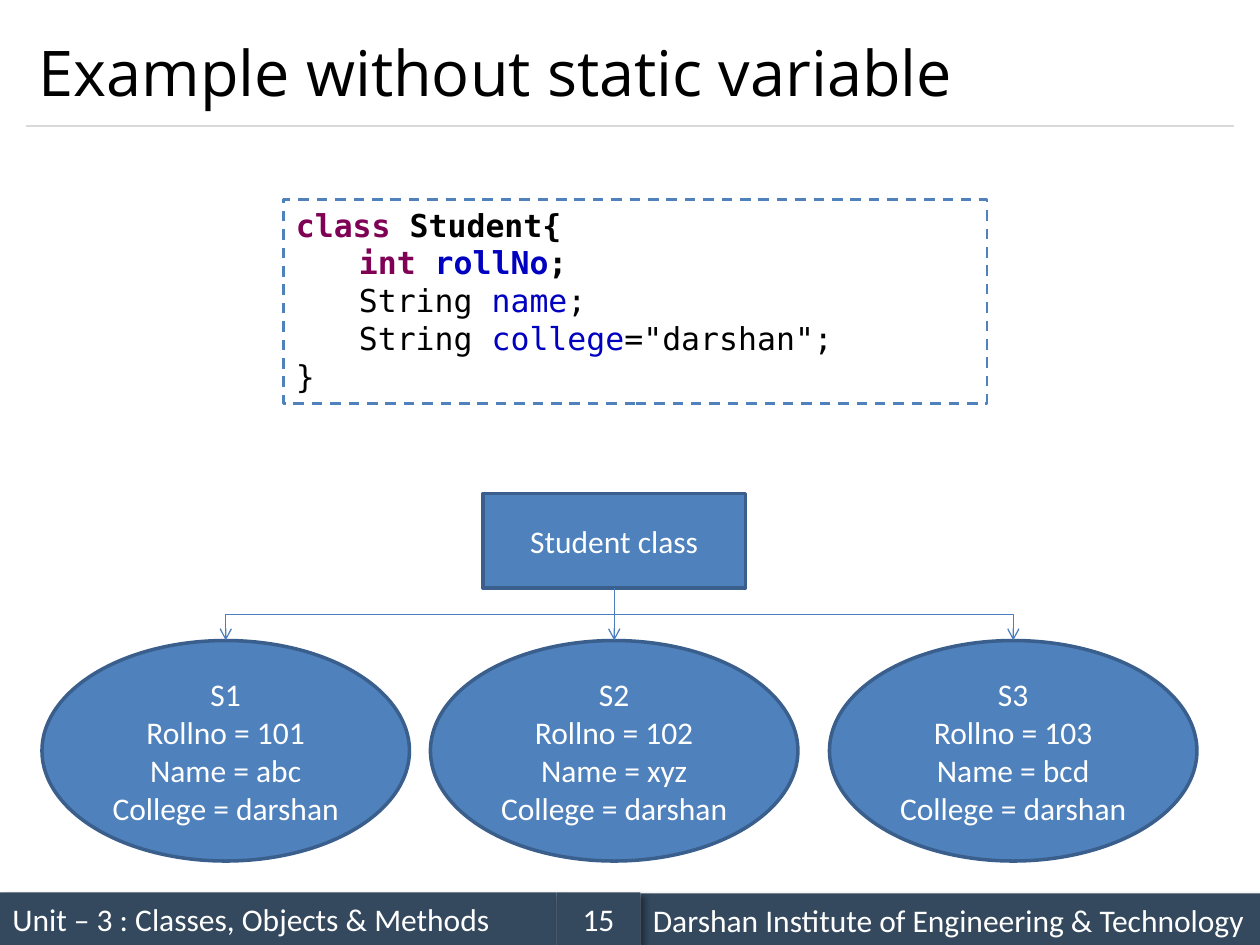
import pptx
import pptx.util
import pptx.dml.color
import pptx.enum.dml
import pptx.enum.shapes
import pptx.enum.text
import pptx.oxml
import pptx.oxml.ns

Pt = pptx.util.Pt
SHAPE = pptx.enum.shapes.MSO_SHAPE
CONNECTOR = pptx.enum.shapes.MSO_CONNECTOR
ALIGN = pptx.enum.text.PP_ALIGN
MIDDLE = pptx.enum.text.MSO_ANCHOR.MIDDLE
NS = pptx.oxml.ns.nsdecls("a")


def color(hex_string):
    return pptx.dml.color.RGBColor.from_string(hex_string)


def add_block(kind, box, fill, border, lines, align):
    """Add a filled shape with white 18 pt lines; return it."""
    block = slide.shapes.add_shape(kind, *[Pt(v) for v in box])
    block.shadow.inherit = False
    block.fill.solid()
    block.fill.fore_color.rgb = color(fill)
    if border:
        block.line.color.rgb = color(border)
        block.line.width = Pt(2)
    else:
        block.line.fill.background()
    frame = block.text_frame
    frame.word_wrap = True
    frame.vertical_anchor = MIDDLE
    frame.text = "\n".join(lines)
    for paragraph in frame.paragraphs:
        paragraph.alignment = align
        paragraph.font.size = Pt(18)
        paragraph.font.name = "Calibri"
        paragraph.font.color.rgb = color("FFFFFF")
    return block


deck = pptx.Presentation()
deck.slide_width, deck.slide_height = Pt(720), Pt(540)
slide = deck.slides.add_slide(deck.slide_layouts[6])

# Footer bars with soft shadows
footer = [
    ((0, 510, 318, 30), "Unit – 3 : Classes, Objects & Methods", ALIGN.LEFT),
    ((366, 510.5, 354, 30), "Darshan Institute of Engineering & Technology", ALIGN.LEFT),
    ((318, 510, 48, 30), "15", ALIGN.CENTER),
]
for box, label, align in footer:
    bar = add_block(SHAPE.RECTANGLE, box, "34495E", None, [label], align)
    effects = bar._element.spPr.find(pptx.oxml.ns.qn("a:effectLst"))
    effects.append(pptx.oxml.parse_xml(
        f'<a:outerShdw {NS} blurRad="50800" dist="38100" dir="2700000" algn="tl" rotWithShape="0">'
        '<a:srgbClr val="000000"><a:alpha val="40000"/></a:srgbClr></a:outerShdw>'))

# Title and the rule below it
title = slide.shapes.add_textbox(Pt(15), Pt(9), Pt(690), Pt(63)).text_frame
title.word_wrap = True
title.vertical_anchor = MIDDLE
title.text = "Example without static variable"
title_font = title.paragraphs[0].runs[0].font
title_font.size = Pt(36)
title_font.name = "Open Sans"
title_font.color.rgb = color("000000")

rule = slide.shapes.add_connector(CONNECTOR.STRAIGHT, Pt(15), Pt(72), Pt(705), Pt(72))
rule.line.color.rgb = color("D9D9D9")
rule.line.width = Pt(0.75)
rule._element.spPr.append(pptx.oxml.parse_xml(f"<a:effectLst {NS}/>"))

# Class box, its three objects and the arrows between them
CLASS_X, CLASS_BOTTOM, OBJECT_TOP = 351, 336, 366
student_class = add_block(SHAPE.RECTANGLE, (CLASS_X - 75, 282, 150, 54),
                          "4F81BD", "3A5F8C", ["Student class"], ALIGN.CENTER)
students = [(129, "S1", 101, "abc"), (351, "S2", 102, "xyz"), (579, "S3", 103, "bcd")]
for center, label, roll_no, name in students:
    student = add_block(
        SHAPE.OVAL, (center - 105, OBJECT_TOP, 210, 126), "4F81BD", "3A5F8C",
        [label, f"Rollno = {roll_no}", f"Name = {name}", "College = darshan"], ALIGN.CENTER)

    run = abs(center - CLASS_X)
    kind = CONNECTOR.ELBOW if run else CONNECTOR.STRAIGHT
    arrow = slide.shapes.add_connector(
        kind, Pt(CLASS_X), Pt(CLASS_BOTTOM), Pt(center), Pt(OBJECT_TOP))
    arrow.begin_connect(student_class, 2)
    arrow.end_connect(student, 0)
    if run:
        # Turn the elbow so that it leaves the class box downwards
        drop = OBJECT_TOP - CLASS_BOTTOM
        arrow.left = Pt((CLASS_X + center - drop) / 2)
        arrow.top = Pt((CLASS_BOTTOM + OBJECT_TOP - run) / 2)
        arrow.width, arrow.height = Pt(drop), Pt(run)
        to_right = center > CLASS_X
        xfrm = arrow._element.spPr.xfrm
        xfrm.set("rot", "16200000" if to_right else "5400000")
        xfrm.set("flipH", "1" if to_right else "0")
        xfrm.set("flipV", "0")
    arrow.line.color.rgb = color("4B7EBC")
    arrow.line.width = Pt(0.75)
    arrow.line._get_or_add_ln().append(
        pptx.oxml.parse_xml(f'<a:tailEnd {NS} type="arrow"/>'))
    arrow._element.spPr.append(pptx.oxml.parse_xml(f"<a:effectLst {NS}/>"))

# Code listing in a dashed frame
KEYWORD, FIELD, PLAIN = "7F0055", "0000C0", "000000"
code_lines = [
    (True, [("class", KEYWORD), (" Student{", PLAIN)]),
    (True, [("\tint ", KEYWORD), ("rollNo", FIELD), (";", PLAIN)]),
    (False, [("\tString ", PLAIN), ("name", FIELD), (";", PLAIN)]),
    (False, [("\tString ", PLAIN), ("college", FIELD), ('="darshan";', PLAIN)]),
    (False, [("}", PLAIN)]),
]
code_box = slide.shapes.add_textbox(Pt(162), Pt(114), Pt(402), Pt(116.5))
code_box.line.color.rgb = color("4F81BD")
code_box.line.width = Pt(1.5)
code_box.line.dash_style = pptx.enum.dml.MSO_LINE.DASH
code = code_box.text_frame
code.word_wrap = True
code.text = "\n".join("".join(text for text, _ in parts) for _, parts in code_lines)
for paragraph, (bold, parts) in zip(code.paragraphs, code_lines):
    paragraph.clear()
    for text, tint in parts:
        token = paragraph.add_run()
        token.text = text
        token.font.size = Pt(18)
        token.font.name = "DejaVu Sans Mono"
        token.font.bold = bold
        token.font.color.rgb = color(tint)

deck.save("out.pptx")
